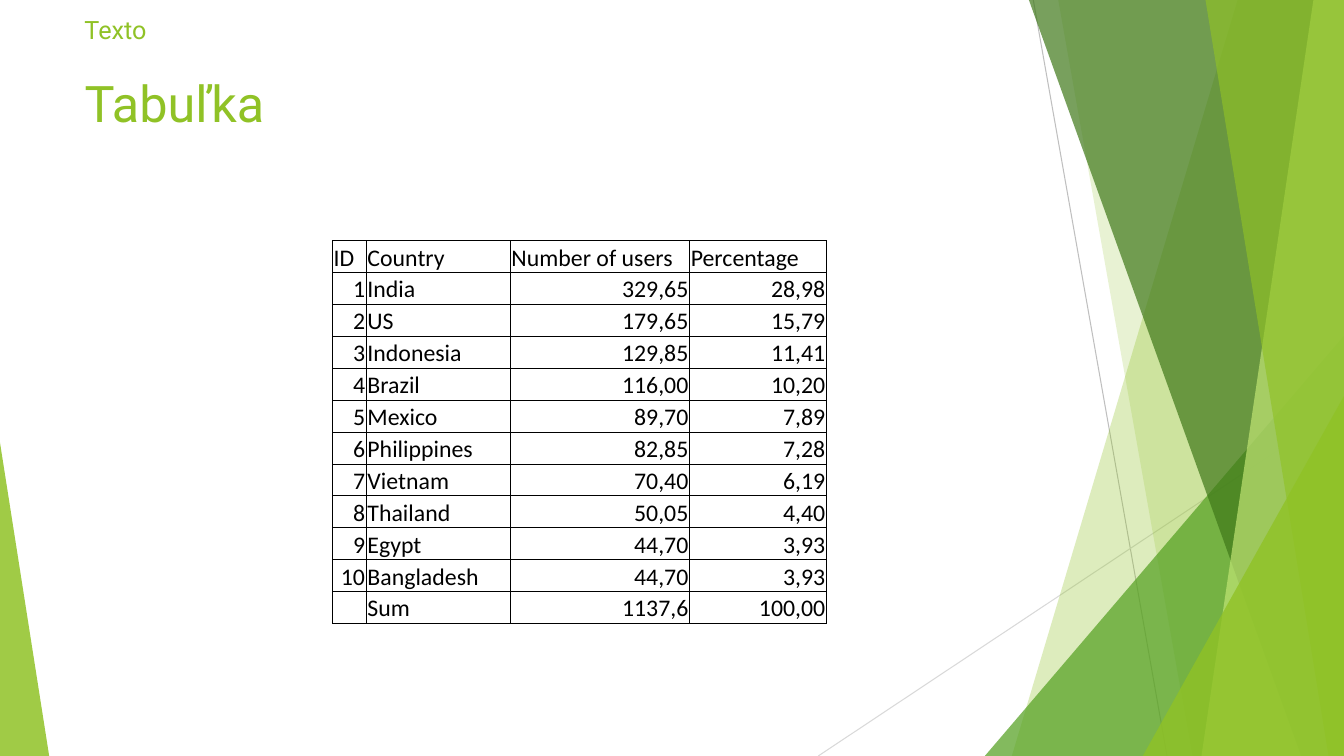
from dataclasses import dataclass
from lxml import etree
from pptx import Presentation
from pptx import util as u
from pptx.dml.color import RGBColor
from pptx.enum import shapes, text
from pptx.oxml import ns

Cm = u.Cm


@dataclass(frozen=True)
class Theme:
    lime: str = "90C226"
    leaf: str = "54A021"
    dark: str = "3F7819"
    pale: str = "C0E474"
    ink: str = "000000"
    mid: str = "BFBFBF"
    light: str = "D9D9D9"
    head: str = "Roboto"
    body: str = "Calibri"
    big: int = 36
    label: int = 18
    small: int = 17


look = Theme()


def put(frame, words, font=look.head, size=look.label, color=look.lime,
        align="LEFT", anchor="TOP", wrap=True):
    frame.word_wrap = wrap
    frame.vertical_anchor = getattr(text.MSO_ANCHOR, anchor)
    para = frame.paragraphs[0]
    para.alignment = getattr(text.PP_ALIGN, align)
    run = para.add_run()
    run.text = words
    run.font.name = font
    run.font.size = u.Pt(size)
    run.font.color.rgb = RGBColor.from_string(color)


def tint(shape, color, alpha):
    shape.shadow.inherit = False
    shape.fill.solid()
    shape.fill.fore_color.rgb = RGBColor.from_string(color)
    shape.line.fill.background()
    tone = shape.fill._xPr.find(".//" + ns.qn("a:srgbClr"))
    etree.SubElement(tone, ns.qn("a:alpha"), val=str(alpha * 1000))


def rule(slide, start, end, color):
    line = slide.shapes.add_connector(
        shapes.MSO_CONNECTOR.STRAIGHT, *map(Cm, start + end))
    line.line.color.rgb = RGBColor.from_string(color)
    line.line.width = u.Pt(0.75)
    etree.SubElement(line._element.spPr, ns.qn("a:effectLst"))


def facet(slide, box, upper, lower, color, alpha):
    left, top, width, height = box
    right, base = left + width, top + height
    path = slide.shapes.build_freeform(Cm(left + upper), Cm(top), scale=1.0)
    path.add_line_segments([(Cm(right), Cm(top)), (Cm(right), Cm(base)),
                            (Cm(left + lower), Cm(base))], close=True)
    tint(path.convert_to_shape(), color, alpha)


def wedge(slide, box, width, height, peak, color, alpha):
    left, top, wide, high = box
    start = left + (wide - width) * peak
    shape = slide.shapes.add_shape(
        shapes.MSO_SHAPE.ISOSCELES_TRIANGLE, Cm(start),
        Cm(top + high - height), Cm(width), Cm(height))
    shape.adjustments[0] = peak
    tint(shape, color, alpha)


def decor(slide, box):
    left, top, width, height = box
    base = top + height
    rule(slide, (left + 5.42, top), (left + 8.79, base), look.mid)
    rule(slide, (left + width, top + 10.24), (left, base), look.light)
    facet(slide, box, 10.57, 4.88, look.lime, 30)
    facet(slide, box, 6.05, 9.43, look.lime, 20)
    wedge(slide, box, 9.05, 10.59, 1, look.leaf, 72)
    facet(slide, box, 5.31, 12.17, look.dark, 70)
    facet(slide, box, 12.48, 9.66, look.pale, 70)
    facet(slide, box, 9.76, 12.86, look.lime, 65)
    wedge(slide, box, 5.07, 9.07, 1, look.lime, 80)


def heading(slide, box):
    left, top, width, height = box
    label = slide.shapes.add_textbox(Cm(left), Cm(top), Cm(2.08), Cm(1.02))
    put(label.text_frame, "Texto", wrap=False)
    title = slide.shapes.title
    title.left, title.top = Cm(left), Cm(top + 1.47)
    title.width, title.height = Cm(width), Cm(height - 1.47)
    title.text_frame.auto_size = text.MSO_AUTO_SIZE.NONE
    put(title.text_frame, "Tabuľka", size=look.big)


def border(cell):
    cell.fill.background()
    props = cell._tc.get_or_add_tcPr()
    for spot, side in enumerate(("lnL", "lnR", "lnT", "lnB")):
        line = etree.Element(ns.qn("a:" + side), w=str(u.Pt(0.5)))
        fill = etree.SubElement(line, ns.qn("a:solidFill"))
        etree.SubElement(fill, ns.qn("a:srgbClr"), val=look.ink)
        props.insert(spot, line)


def users(slide, box):
    rows = [
        ("ID", "Country", "Number of users", "Percentage"),
        ("1", "India", "329,65", "28,98"),
        ("2", "US", "179,65", "15,79"),
        ("3", "Indonesia", "129,85", "11,41"),
        ("4", "Brazil", "116,00", "10,20"),
        ("5", "Mexico", "89,70", "7,89"),
        ("6", "Philippines", "82,85", "7,28"),
        ("7", "Vietnam", "70,40", "6,19"),
        ("8", "Thailand", "50,05", "4,40"),
        ("9", "Egypt", "44,70", "3,93"),
        ("10", "Bangladesh", "44,70", "3,93"),
        ("", "Sum", "1137,6", "100,00"),
    ]
    table = slide.shapes.add_table(len(rows), 4, *map(Cm, box)).table
    table.first_row = table.horz_banding = False
    for col, width in zip(table.columns, (0.85, 3.63, 4.52, 3.45)):
        col.width = Cm(width)
    for y, row in enumerate(rows):
        table.rows[y].height = Cm(box[3] / len(rows))
        for x, words in enumerate(row):
            cell = table.cell(y, x)
            cell.margin_left = cell.margin_right = cell.margin_top = Cm(0.03)
            cell.margin_bottom = 0
            cell.vertical_anchor = text.MSO_ANCHOR.BOTTOM
            border(cell)
            if words:
                put(cell.text_frame, words, font=look.body, size=look.small,
                    color=look.ink, anchor="BOTTOM",
                    align="RIGHT" if y and x != 1 else "LEFT")


def main():
    deck = Presentation()
    deck.slide_width, deck.slide_height = Cm(33.87), Cm(19.05)
    slide = deck.slides.add_slide(deck.slide_layouts[5])
    decor(slide, (20.62, 0, 13.25, 19.05))
    wedge(slide, (0, 0, 1.24, 19.05), 1.24, 7.9, 0, look.lime, 85)
    heading(slide, (1.88, 0.23, 23.88, 5.13))
    users(slide, (8.38, 6.06, 12.45, 9.65))
    deck.save("out.pptx")


main()
